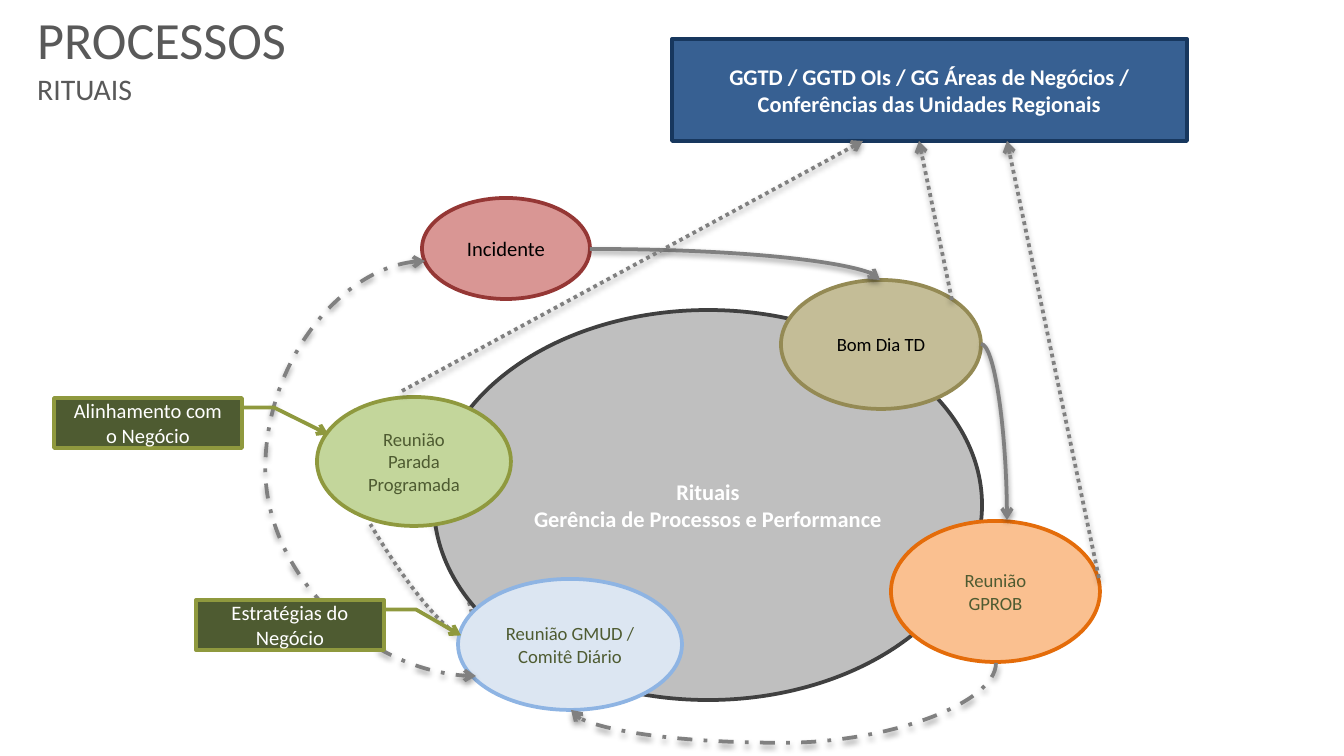
"""Build the PROCESSOS / RITUAIS slide: meetings around a central cycle."""
from lxml import etree
from pptx import Presentation
from pptx import util as u
from pptx.dml import color
from pptx.enum import dml, shapes, text
from pptx.oxml import ns

PX = 914400 / 134.4
GREY, GREEN, OLIVE, WHITE, BLACK = "808080", "8F993E", "4E5B31", "FFFFFF", "000000"
DOT, DASH = dml.MSO_LINE.ROUND_DOT, dml.MSO_LINE.DASH_DOT
OVAL, RECT = shapes.MSO_SHAPE.OVAL, shapes.MSO_SHAPE.RECTANGLE
LINE, CURVE = "line", "curvedConnector2"
S_CURVE = "curvedConnector3"
rgb = color.RGBColor.from_string


def stroke(s, hue, dash=None, ends=(), shadow=False):
    s.line.color.rgb = rgb(hue)
    s.line.width = u.Pt(2)
    if dash:
        s.line.dash_style = dash
    ln = s.line._get_or_add_ln()
    for end in ends:
        etree.SubElement(ln, ns.qn(f"a:{end}End"), type="arrow")
    effects = etree.SubElement(s._element.spPr, ns.qn("a:effectLst"))
    if shadow:
        outer = etree.SubElement(effects, ns.qn("a:outerShdw"), blurRad="40000",
                                 dist="20000", dir="5400000", rotWithShape="0")
        black = etree.SubElement(outer, ns.qn("a:srgbClr"), val=BLACK)
        etree.SubElement(black, ns.qn("a:alpha"), val="38000")


def write(s, lines, sizes, hue, bold=False, align=text.PP_ALIGN.CENTER):
    tf = s.text_frame
    tf.word_wrap = True
    for i, (line, size) in enumerate(zip(lines, sizes)):
        p = tf.add_paragraph() if i else tf.paragraphs[0]
        p.alignment = align
        r = p.add_run()
        r.text = line
        r.font.name = "Calibri"
        r.font.size = u.Pt(size)
        r.font.bold = bold
        r.font.color.rgb = rgb(hue)


prs = Presentation()
prs.slide_width, prs.slide_height = int(1344 * PX), int(756 * PX)
sp = prs.slides.add_slide(prs.slide_layouts[6]).shapes

title = sp.add_textbox(*(int(v * PX) for v in (24, 1, 396, 126)))
write(title, ["PROCESSOS", "RITUAIS"], [28, 16], "595959", align=text.PP_ALIGN.LEFT)
for p in title.text_frame.paragraphs:
    pPr = p._p.get_or_add_pPr()
    pPr.set("marL", str(int(26 * PX)))
    pPr.set("indent", str(int(-26 * PX)))

arc = sp.add_shape(shapes.MSO_SHAPE.ARC, *(int(v * PX) for v in (370, 375, 55, 282)))
arc.adjustments[0], arc.adjustments[1] = 97.2, 8.39
arc.rotation = 329.1
arc._element.spPr.xfrm.set("flipH", "1")
arc._element.spPr.xfrm.set("flipV", "1")
arc.fill.background()
stroke(arc, GREY, DOT, shadow=True)

nodes = [
    (OVAL, (434, 310, 548, 390), "BFBFBF", "404040", WHITE, 12, True,
     ["Rituais", "Gerência de Processos e Performance"]),
    (OVAL, (422, 198, 168, 101), "D99694", "953735", BLACK, 11, False, ["Incidente"]),
    (OVAL, (781, 280, 200, 129), "C4BD97", "948A54", BLACK, 10, False, ["Bom Dia TD"]),
    (OVAL, (317, 397, 194, 129), "C3D69B", GREEN, OLIVE, 10, False,
     ["Reunião Parada Programada"]),
    (OVAL, (891, 521, 209, 141), "FAC090", "E46C0A", OLIVE, 10, False,
     ["Reunião", "GPROB"]),
    (OVAL, (458, 579, 224, 131), "DCE6F2", "8EB4E3", OLIVE, 10, False,
     ["Reunião GMUD /", "Comitê Diário"]),
    (RECT, (672, 39, 515, 102), "376092", "17375E", WHITE, 12, True,
     ["GGTD / GGTD OIs / GG Áreas de Negócios /", "Conferências das Unidades Regionais"]),
]
for kind, box, fill, edge, ink, size, bold, lines in nodes:
    s = sp.add_shape(kind, *(int(v * PX) for v in box))
    s.fill.solid()
    s.fill.fore_color.rgb = rgb(fill)
    stroke(s, edge)
    write(s, lines, [size] * len(lines), ink, bold)

links = [
    (S_CURVE, (760, 474, 807, 899), DASH, ["tail"], 1.7, 90),
    (CURVE, (590, 249, 880, 280), None, ["tail"], None, 0),
    (CURVE, (981, 344, 1007, 520), None, ["tail"], None, 0),
    (LINE, (952, 300, 919, 141), DOT, ["tail"], None, 0),
    (LINE, (1099, 578, 1007, 141), DOT, ["tail"], None, 0),
    (LINE, (402, 391, 863, 141), DOT, ["tail"], None, 0),
    (S_CURVE, (425, 261, 476, 676), DASH, ["head", "tail"], -3.13, 0),
]
for geometry, points, dash, ends, bend, turn in links:
    s = sp.add_connector(shapes.MSO_CONNECTOR.STRAIGHT, *(int(v * PX) for v in points))
    preset = s._element.spPr.find(ns.qn("a:prstGeom"))
    preset.set("prst", geometry)
    if bend:
        etree.SubElement(preset.find(ns.qn("a:avLst")), ns.qn("a:gd"),
                         name="adj1", fmla=f"val {round(bend * 100000)}")
    if turn:
        s._element.spPr.find(ns.qn("a:xfrm")).set("rot", str(turn * 60000))
    stroke(s, GREY, dash, ends, shadow=True)

callouts = [
    (54, 398, 0.73, -0.46, "Alinhamento com o Negócio"),
    (196, 600, 0.71, -0.41, "Estratégias do Negócio"),
]
for x, y, tip_y, tip_x, label in callouts:
    s = sp.add_shape(shapes.MSO_SHAPE.LINE_CALLOUT_2,
                     *(int(v * PX) for v in (x, y, 188, 50)))
    for i, value in enumerate((0.19, -0.01, 0.19, -0.17, tip_y, tip_x)):
        s.adjustments[i] = value
    s._element.spPr.xfrm.set("flipH", "1")
    s.fill.solid()
    s.fill.fore_color.rgb = rgb(OLIVE)
    stroke(s, GREEN, ends=["tail"])
    write(s, [label], [11], WHITE)

prs.save("out.pptx")
